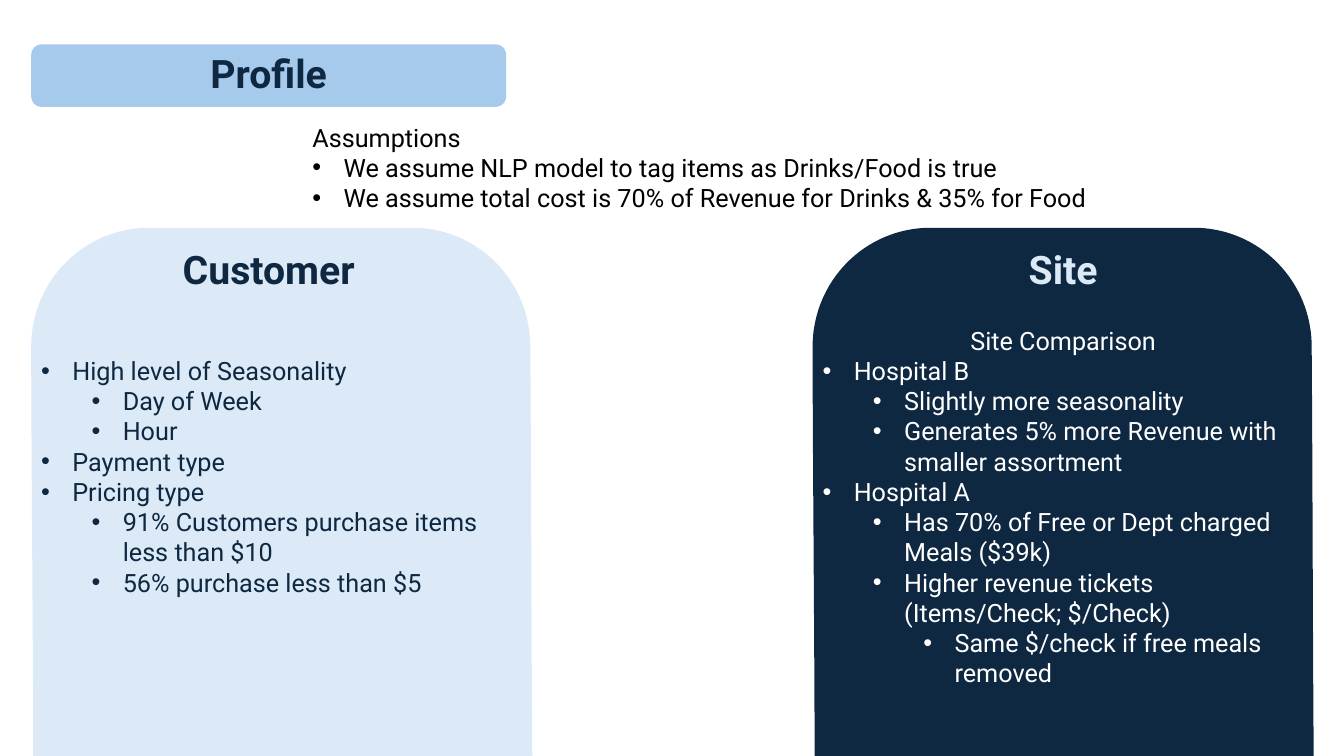
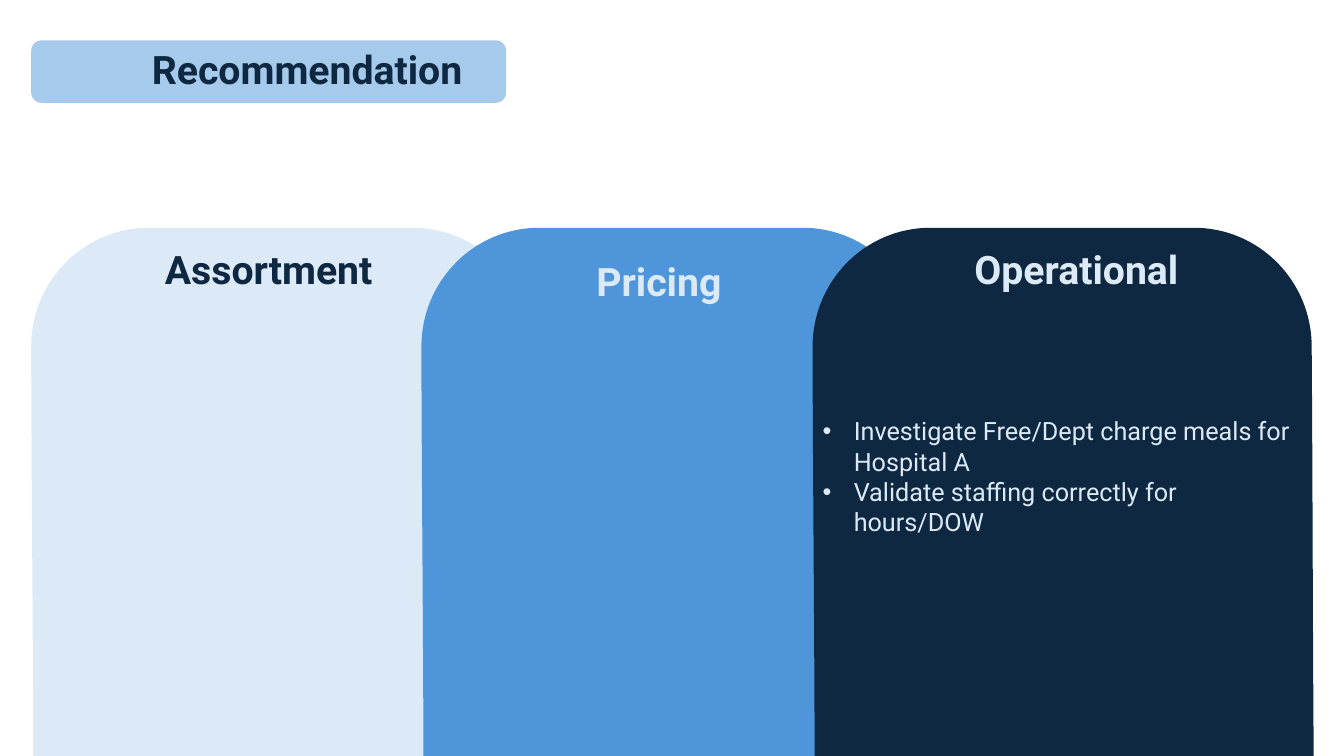
from itertools import chain

from lxml import etree
from pptx import Presentation, util as u
from pptx.dml.color import RGBColor
from pptx.enum import shapes, text
from pptx.oxml.ns import qn

NAVY = RGBColor(0x0E, 0x28, 0x41)
BLUE = RGBColor(0x4E, 0x95, 0xD9)
SKY = RGBColor(0xA6, 0xCA, 0xEC)
PALE = RGBColor(0xDC, 0xEA, 0xF7)
WHITE = RGBColor(0xFF, 0xFF, 0xFF)
BLACK = RGBColor(0x00, 0x00, 0x00)

SLIDE_WIDTH, SLIDE_HEIGHT = 13.33, 7.5
LEFT, MIDDLE, RIGHT = 0.31, 4.18, 8.06
BAND_WIDTH, BAND_HEIGHT = 4.71, 0.62
PANEL_TOP, PANEL_WIDTH, PANEL_HEIGHT = 2.26, 4.97, 5.53
PANEL_START = (0, 1.18)
PANEL_SEGMENTS = [
    [(0, 0.53), (0.52, 0), (1.17, 0)],
    [(3.78, 0)],
    [(4.43, 0), (4.95, 0.53), (4.95, 1.18)],
    [(4.96, 2.54), (4.96, 3.89), (4.97, 5.25)],
    [(4.97, 5.9), (4.43, 5.24), (3.78, 5.24)],
    [(1.17, 5.24)],
    [(0.52, 5.24), (0.02, 5.86), (0.02, 5.21)],
    [(0.02, 4.25), (0, 2.14), (0, 1.18)],
]
HEADING_TOP = 2.39
INDENT, LEVEL_STEP = 0.31, 0.5
RAISED_INSET = 0.65

HEADING_FONT = {"name": "Roboto", "size": u.Pt(28), "bold": True}
BODY_FONT = {"name": "Roboto", "size": u.Pt(18), "bold": False}
HEADING_PARAGRAPH = {
    "alignment": text.PP_ALIGN.CENTER,
    "line_spacing": 0.9,
    "space_before": u.Pt(10),
}
MIDDLE_FRAME = {"word_wrap": True, "vertical_anchor": text.MSO_ANCHOR.MIDDLE}
TOP_FRAME = {"word_wrap": True, "vertical_anchor": text.MSO_ANCHOR.TOP}

ASSUMPTIONS = [
    (None, "Assumptions"),
    (0, "We assume NLP model to tag items as Drinks/Food is true"),
    (0, "We assume total cost is 70% of Revenue for Drinks & 35% for Food"),
]
CUSTOMER = [
    (0, "High level of Seasonality"),
    (1, "Day of Week"),
    (1, "Hour"),
    (0, "Payment type"),
    (0, "Pricing type"),
    (1, "91% Customers purchase items less than $10"),
    (1, "56% purchase less than $5"),
]
SITE = [
    (None, "Site Comparison"),
    (0, "Hospital B"),
    (1, "Slightly more seasonality"),
    (1, "Generates 5% more Revenue with smaller assortment"),
    (0, "Hospital A"),
    (1, "Has 70% of Free or Dept charged Meals ($39k)"),
    (1, "Higher revenue tickets (Items/Check; $/Check)"),
    (2, "Same $/check if free meals removed"),
]
OPERATIONAL = [
    (0, "Investigate Free/Dept charge meals for Hospital A"),
    (0, "Validate staffing correctly for hours/DOW"),
]


def set_format(target, values):
    for name, value in values.items():
        setattr(target, name, value)


def add_text(paragraph, words, font_format, color):
    run = paragraph.add_run()
    run.text = words
    set_format(run.font, font_format)
    run.font.color.rgb = color


def set_fill(shape, color):
    shape.shadow.inherit = False
    shape.line.fill.background()
    if color is None:
        shape.fill.background()
    else:
        shape.fill.solid()
        shape.fill.fore_color.rgb = color


def set_bullet(paragraph, level):
    paragraph.level = level
    properties = paragraph._p.get_or_add_pPr()
    properties.set("marL", str(u.Inches(INDENT + level * LEVEL_STEP)))
    properties.set("indent", str(-u.Inches(INDENT)))
    etree.SubElement(properties, qn("a:buFont"), typeface="Arial")
    etree.SubElement(properties, qn("a:buChar"), char="•")


def fill_list(frame, items, color, plain_alignment):
    for index, (level, words) in enumerate(items):
        paragraph = frame.add_paragraph() if index else frame.paragraphs[0]
        if level is None:
            paragraph.alignment = plain_alignment
        else:
            paragraph.alignment = text.PP_ALIGN.LEFT
            set_bullet(paragraph, level)
        add_text(paragraph, words, BODY_FONT, color)


def add_heading(parent, words, left, top, color, fill=None, width=BAND_WIDTH, inset=0.1):
    shape = parent.shapes.add_shape(
        shapes.MSO_SHAPE.ROUNDED_RECTANGLE,
        u.Inches(left), u.Inches(top), u.Inches(width), u.Inches(BAND_HEIGHT),
    )
    set_fill(shape, fill)
    set_format(shape.text_frame, MIDDLE_FRAME)
    shape.text_frame.margin_left = u.Inches(inset)
    paragraph = shape.text_frame.paragraphs[0]
    set_format(paragraph, HEADING_PARAGRAPH)
    add_text(paragraph, words, HEADING_FONT, color)


def add_title(slide, words, top, inset=0.1):
    add_heading(slide, words, LEFT, top, NAVY, fill=SKY, inset=inset)


def curve_outline(panel):
    outline = next(panel._element.iter(qn("a:path")))
    outline.set("h", str(u.Inches(PANEL_HEIGHT)))
    lines = iter(outline.findall(qn("a:lnTo")))
    for segment in PANEL_SEGMENTS:
        first, *others = [next(lines) for _ in segment]
        if others:
            first.tag
            curve = etree.Element(qn("a:cubicBezTo"))
            first.addprevious(curve)
            for line in (first, *others):
                curve.append(line[0])
                outline.remove(line)


def add_panel(parent, left, fill):
    points = [
        (u.Inches(left + x), u.Inches(PANEL_TOP + y))
        for x, y in chain([PANEL_START], *PANEL_SEGMENTS)
    ]
    builder = parent.shapes.build_freeform(*points[0])
    builder.add_line_segments(points[1:], close=True)
    panel = builder.convert_to_shape()
    curve_outline(panel)
    panel.height = u.Inches(PANEL_HEIGHT)
    set_fill(panel, fill)
    return panel


def add_column(slide, left, fill, heading, heading_color, heading_left=None,
               heading_top=HEADING_TOP, heading_width=BAND_WIDTH,
               items=(), color=WHITE, bottom_inset=0.05):
    group = slide.shapes.add_group_shape()
    frame = add_panel(group, left, fill).text_frame
    set_format(frame, MIDDLE_FRAME)
    frame.margin_bottom = u.Inches(bottom_inset)
    fill_list(frame, items, color, text.PP_ALIGN.CENTER)
    add_heading(group, heading, heading_left or left, heading_top,
                heading_color, width=heading_width)


def add_text_list(slide, left, top, width, height, items):
    box = slide.shapes.add_textbox(
        u.Inches(left), u.Inches(top), u.Inches(width), u.Inches(height)
    )
    set_format(box.text_frame, TOP_FRAME)
    fill_list(box.text_frame, items, BLACK, text.PP_ALIGN.LEFT)


def build_profile(slide):
    add_title(slide, "Profile", 0.44)
    add_column(slide, LEFT, PALE, "Customer", NAVY,
               items=CUSTOMER, color=NAVY, bottom_inset=RAISED_INSET)
    add_column(slide, RIGHT, NAVY, "Site", PALE,
               heading_width=PANEL_WIDTH, items=SITE)
    add_text_list(slide, 3, 1.16, 10.11, 1.01, ASSUMPTIONS)


def build_recommendation(slide):
    add_title(slide, "Recommendation", 0.4, inset=0.86)
    add_column(slide, LEFT, PALE, "Assortment", NAVY)
    add_column(slide, MIDDLE, BLUE, "Pricing", PALE, heading_top=2.51)
    add_column(slide, RIGHT, NAVY, "Operational", PALE, heading_left=8.32,
               items=OPERATIONAL, color=PALE, bottom_inset=RAISED_INSET)


def main():
    presentation = Presentation()
    presentation.slide_width = u.Inches(SLIDE_WIDTH)
    presentation.slide_height = u.Inches(SLIDE_HEIGHT)
    blank = presentation.slide_layouts[6]
    for build in (build_profile, build_recommendation):
        build(presentation.slides.add_slide(blank))
    presentation.save("out.pptx")


if __name__ == "__main__":
    main()
